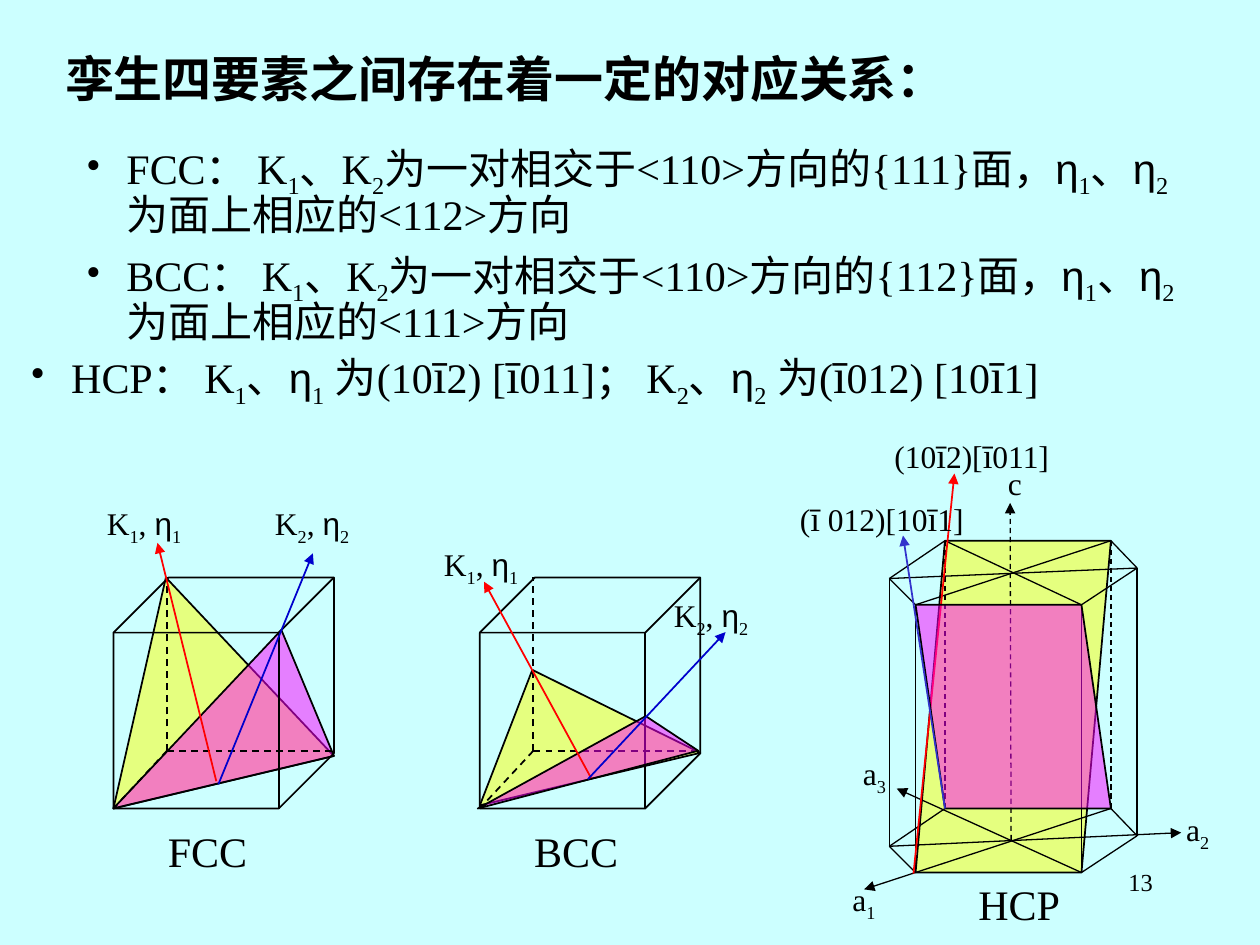
from itertools import groupby

from lxml import etree
from pptx import Presentation
from pptx.dml.color import RGBColor
from pptx.enum.dml import MSO_LINE
from pptx.enum.shapes import MSO_CONNECTOR, MSO_SHAPE
from pptx.enum.text import MSO_ANCHOR, MSO_AUTO_SIZE, PP_ALIGN
from pptx.oxml.ns import qn
from pptx.util import Inches, Pt

DASH = MSO_LINE.DASH
STRAIGHT = MSO_CONNECTOR.STRAIGHT
CUBE = MSO_SHAPE.CUBE
TOP = MSO_ANCHOR.TOP
NO_AUTOFIT = MSO_AUTO_SIZE.NONE
LEFT, RIGHT = PP_ALIGN.LEFT, PP_ALIGN.RIGHT

WIDTH, HEIGHT = Inches(10), Inches(7.5)
COLUMN, ROW = WIDTH / 120, HEIGHT / 90
COLORS = {
    "background": "CCFFFF", "ink": "000000", "yellow": "FFFF00", "magenta": "FF00FF",
    "red": "FF0000", "blue": "0000CC", "violet": "3333CC",
}
MACRON_SIZES = {18: 20, 24: 28}

FCC = {
    "name": "FCC",
    "behind": [("yellow", [(5, 0), (0, 22), (21, 17)]),
               ("magenta", [(16, 5), (0, 22), (21, 17)])],
    "front": [],
    "arrows": [("red", (9.8, 19.4), (4.2, -3.3)), ("blue", (10, 19.7), (19, -2.3))],
    "labels": [("K_1, η_1", -1.8, -7.6), ("K_2, η_2", 14.2, -7.6)],
}
BCC = {
    "name": "BCC",
    "behind": [("yellow", [(0, 21.7), (5, 8.8), (21, 16.7)])],
    "front": [("magenta", [(15.8, 13.2), (-0.2, 22), (20.8, 16.5)])],
    "arrows": [("red", (10.6, 19.1), (0.4, 0.4)), ("blue", (10.3, 19.2), (23.4, 5.2))],
    "labels": [("K_1, η_1", -4.6, -3.7), ("K_2, η_2", 17.3, 1.2)],
}
BULLETS = [
    ("FCC： K_1、K_2为一对相交于<110>方向的{111}面，η_1、η_2为面上相应的<112>方向",
     (7, 13, 109, 11), 0.32),
    ("BCC： K_1、K_2为一对相交于<110>方向的{112}面，η_1、η_2为面上相应的<111>方向",
     (7, 23.2, 109, 11), 0.32),
    (" HCP： K_1、η_1 为(10ī2) [ī011]； K_2、η_2 为(ī012) [10ī1]",
     (1.7, 32.5, 110, 11), 0.24),
]


def rgb(name):
    return RGBColor.from_string(COLORS[name])


def place(origin, point):
    return (round((origin[0] + point[0]) * COLUMN), round((origin[1] + point[1]) * ROW))


def styled_characters(text):
    subscript = False
    for character in text:
        if character == "_":
            subscript = True
            continue
        kind = {"η": "greek", "ī": "macron"}.get(character, "plain")
        yield character, ("subscript" if subscript else kind)
        subscript = False


def write(shape, text, size, bold=False, align=LEFT):
    frame = shape.text_frame
    frame.word_wrap = True
    frame.auto_size = NO_AUTOFIT
    frame.vertical_anchor = TOP
    paragraph = frame.paragraphs[0]
    paragraph.alignment = align
    paragraph.space_before = Pt(0)
    for kind, group in groupby(styled_characters(text), key=lambda pair: pair[1]):
        run = paragraph.add_run()
        run.text = "".join(character for character, _ in group)
        run.font.name = "Arial" if kind == "greek" else "Times New Roman"
        run.font.size = Pt(MACRON_SIZES[size] if kind == "macron" else size)
        run.font.bold = bold
        run.font.color.rgb = rgb("ink")
        if kind == "subscript":
            run.font._element.set("baseline", "-25000")
    return paragraph


def set_box(shape, box):
    shape.left, shape.top = place((0, 0), box[:2])
    shape.width, shape.height = place((0, 0), box[2:])


def add_label(shapes, origin, text, column, row, width=11, height=5.3, size=18, align=LEFT):
    shape = shapes.add_textbox(*place(origin, (column, row)), *place((0, 0), (width, height)))
    write(shape, text, size, align=align)


def add_line(shapes, origin, start, end, color="ink", weight=1, dashed=False, arrow=False):
    connector = shapes.add_connector(STRAIGHT, *place(origin, start), *place(origin, end))
    connector.line.color.rgb = rgb(color)
    connector.line.width = Pt(weight)
    if dashed:
        connector.line.dash_style = DASH
    if arrow:
        etree.SubElement(connector.line._get_or_add_ln(), qn("a:tailEnd"), type="triangle")
    etree.SubElement(connector._element.spPr, qn("a:effectLst"))


def add_plane(shapes, origin, color, corners):
    points = [place(origin, corner) for corner in corners]
    builder = shapes.build_freeform(*points[0], scale=1.0)
    builder.add_line_segments(points[1:], close=True)
    plane = builder.convert_to_shape()
    plane.shadow.inherit = False
    plane.fill.solid()
    plane.fill.fore_color.rgb = rgb(color)
    for element in plane._element.spPr.find(qn("a:solidFill")):
        etree.SubElement(element, qn("a:alpha"), val="50000")
    plane.line.color.rgb = rgb("ink")
    plane.line.width = Pt(1)


def add_bullet(placeholder, text, box, indent):
    set_box(placeholder, box)
    paragraph = write(placeholder, text, 24)
    paragraph.line_spacing = 0.9
    properties = paragraph._p.get_or_add_pPr()
    properties.set("marL", str(Inches(indent)))
    properties.set("indent", str(-Inches(indent)))
    bullet_color = etree.SubElement(properties, qn("a:buClr"))
    etree.SubElement(bullet_color, qn("a:srgbClr"), val=COLORS["ink"])
    etree.SubElement(properties, qn("a:buFont"), typeface="Times New Roman")
    etree.SubElement(properties, qn("a:buChar"), char="•")


def add_heading_and_list(slide):
    title, *bodies = slide.placeholders
    set_box(title, (5, 4, 97.5, 6.8))
    write(title, "孪生四要素之间存在着一定的对应关系：", 28, bold=True)
    for body, bullet in zip(bodies, BULLETS):
        add_bullet(body, *bullet)
    for body in bodies[len(BULLETS):]:
        body._element.getparent().remove(body._element)


def add_cubic_cell(slide, origin, cell):
    shapes = slide.shapes.add_group_shape().shapes
    for color, corners in cell["behind"]:
        add_plane(shapes, origin, color, corners)
    cube = shapes.add_shape(CUBE, *place(origin, (0, 0)), *place((0, 0), (21, 22)))
    cube.adjustments[0] = 0.25
    cube.shadow.inherit = False
    cube.fill.background()
    cube.line.color.rgb = rgb("ink")
    cube.line.width = Pt(1)
    for corner in [(5.1, 0), (21, 16.5), (0, 22)]:
        add_line(shapes, origin, (5.1, 16.5), corner, dashed=True)
    for color, corners in cell["front"]:
        add_plane(shapes, origin, color, corners)
    for color, start, end in cell["arrows"]:
        add_line(shapes, origin, start, end, color, arrow=True)
    for label in cell["labels"]:
        add_label(shapes, origin, *label)
    add_label(shapes, origin, cell["name"], 4, 23, height=6, size=24)


def add_hexagonal_cell(slide, origin):
    shapes = slide.shapes.add_group_shape().shapes
    upper = [(5.3, 0), (21.1, 0), (23.6, 2.6), (18.3, 6.1), (2.5, 6.1), (0, 3.6)]
    lower = [(column, row + 25.5) for column, row in upper]
    add_plane(shapes, origin, "yellow", [lower[4], upper[0], upper[1], lower[3]])
    for index in range(6):
        for ring in (upper, lower):
            add_line(shapes, origin, ring[index], ring[(index + 1) % 6], weight=0.75)
        add_line(shapes, origin, upper[index], lower[index], weight=0.75, dashed=index < 2)
    for index in range(3):
        add_line(shapes, origin, upper[index], upper[index + 3], weight=0.75)
    axes = [(lower[1], (-2.4, 33.2)), (lower[5], (27.8, 27.8)), (lower[3], (0.7, 23.6))]
    for start, end in axes:
        add_line(shapes, origin, start, end, weight=0.75, arrow=True)
    add_line(shapes, origin, (11.6, 28.5), (11.5, -3.6), weight=0.75, dashed=True, arrow=True)
    add_line(shapes, origin, (2.3, 31.7), (6.2, -6.4), "red", arrow=True)
    add_plane(shapes, origin, "magenta", [lower[0], lower[1], upper[3], upper[4]])
    add_line(shapes, origin, lower[0], (1.3, -0.5), "violet", arrow=True)
    for text, column, row in [("c", 10.1, -7.9), ("a_1", -4.7, 31.7),
                              ("a_2", 27.1, 25.1), ("a_3", -3.7, 19.7)]:
        add_label(shapes, origin, text, column, row, width=6)
    add_label(shapes, origin, "(10ī2)[ī011]", -0.7, -10.8, width=19)
    add_label(shapes, origin, "(ī 012)[10ī1]", -9.7, -4.8, width=19)
    add_label(shapes, origin, "HCP", 7.3, 31.6, height=6, size=24)


def main():
    presentation = Presentation()
    presentation.slide_width, presentation.slide_height = WIDTH, HEIGHT
    slide = presentation.slides.add_slide(presentation.slide_layouts.get_by_name("Comparison"))
    slide.background.fill.solid()
    slide.background.fill.fore_color.rgb = rgb("background")
    add_heading_and_list(slide)
    add_cubic_cell(slide, (10.8, 55), FCC)
    add_cubic_cell(slide, (45.7, 55), BCC)
    add_hexagonal_cell(slide, (84.7, 51.5))
    add_label(slide.shapes, (0, 0), "13", 86, 82, width=25, height=6, size=14, align=RIGHT)
    presentation.save("out.pptx")


if __name__ == "__main__":
    main()
